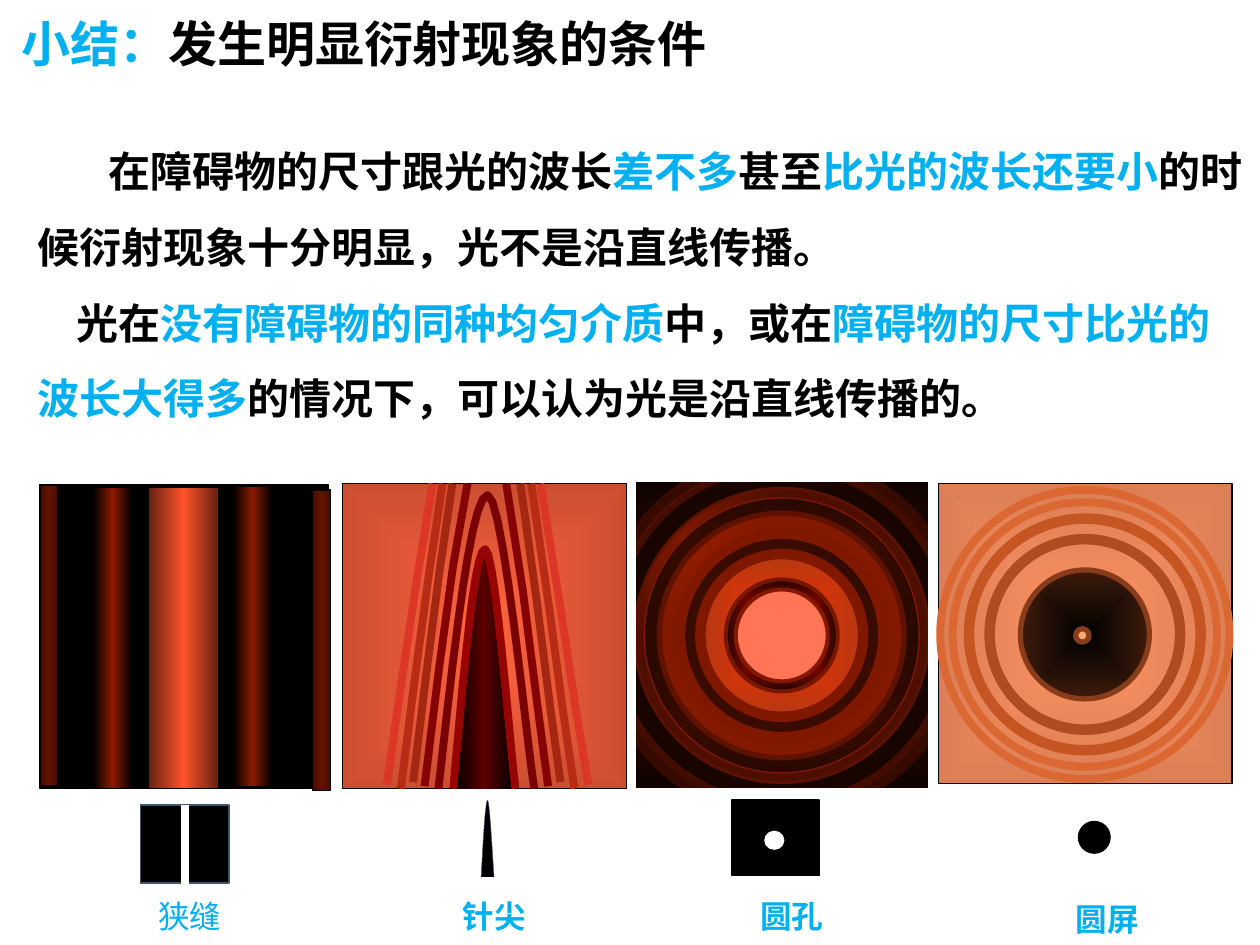
from lxml import etree
from pptx import Presentation
from pptx import util as u
from pptx.dml.color import RGBColor
from pptx.enum import shapes, text
from pptx.oxml import parse_xml
from pptx.oxml.ns import qn

Cm, Pt = u.Cm, u.Pt
A = "http://schemas.openxmlformats.org/drawingml/2006/main"
FONT = "Noto Sans CJK SC"
RECT, OVAL = shapes.MSO_SHAPE.RECTANGLE, shapes.MSO_SHAPE.OVAL
CENTRE = (50, 50, 50, 50)
TOP_LEFT, TOP_RIGHT = (0, 0, 100, 100), (100, 0, 0, 100)

# A value with several hex strings is a list of gradient stops
COLORS = {
    "black": "000000", "white": "FFFFFF", "accent": "00B0F0", "edge": "44546A",
    "slit centre": "662111 FF532B 662111",
    "slit side": "000000 8C1B00 000000",
    "slit outer": "460D00 641300 460D00",
    "needle frame": "FF623D CC4E31",
    "needle core": "000000 5C0000 000000",
    "needle 1": "960404", "needle 2": "790303", "needle 3": "850303",
    "needle 4": "A42712", "needle 5": "B82B14", "needle 6": "DC3726",
    "hole frame": "420D00 040100",
    "hole 1": "581100 430D00", "hole 1 line": "360A00",
    "hole 2": "180500", "hole 2 line": "420D00",
    "hole 3": "921C00 4E0F00", "hole 3 line": "5C1200",
    "hole 4": "581100 290800", "hole 4 line": "801800",
    "hole 5": "961D00 821900", "hole 5 line": "601200",
    "hole 6": "2E0900 3A0B00", "hole 6 line": "801800",
    "hole 7": "F02E00 B63912", "hole 7 line": "801800",
    "hole 8": "FF0000 260700", "hole 8 line": "781700",
    "hole 9": "FF7555", "hole 9 line": "841900",
    "disc frame": "FE9262 DC7F55", "disc shadow": "000000 3E1B0C",
    "disc rim": "893C19", "disc spot": "FFA873",
    "ring dark": "B04D20", "ring mid": "C55523", "ring light": "DB6733",
}


def rgb(name):
    return RGBColor.from_string(COLORS[name])


def set_all(target, values):
    for name, value in values.items():
        setattr(target, name, value)


def paint(shape, fill, line="black", width=0.75, focus=None):
    """Fill solid, or with a gradient: linear, or running to a focus rectangle."""
    shape.shadow.inherit = False
    shape.line.color.rgb = rgb(line)
    shape.line.width = Pt(width)
    if fill is None:
        shape.fill.background()
        return
    stops = COLORS[fill].split()
    shape.fill.solid()
    if len(stops) == 1:
        shape.fill.fore_color.rgb = rgb(fill)
        return
    marks = "".join(
        f'<a:gs pos="{100000 * i // (len(stops) - 1)}"><a:srgbClr val="{stop}"/></a:gs>'
        for i, stop in enumerate(stops))
    if focus:
        sides = " ".join(f'{side}="{value * 1000}"' for side, value in zip("ltrb", focus))
        kind = "shape" if focus == CENTRE else "rect"
        course = f'<a:path path="{kind}"><a:fillToRect {sides}/></a:path>'
    else:
        course = '<a:lin ang="0" scaled="0"/>'
    gradient = parse_xml(f'<a:gradFill xmlns:a="{A}" rotWithShape="1">'
                         f'<a:gsLst>{marks}</a:gsLst>{course}</a:gradFill>')
    properties = shape._element.spPr
    properties.replace(properties.find(qn("a:solidFill")), gradient)


def add_box(page, kind, place, fill, **style):
    shape = page.shapes.add_shape(kind, *map(Cm, place))
    paint(shape, fill, **style)


def add_circle(page, centre, size, fill, **style):
    x, y = centre
    add_box(page, OVAL, (x - size / 2, y - size / 2, size, size), fill, **style)


def bezier(points, t):
    weights = ((1 - t) ** 3, 3 * t * (1 - t) ** 2, 3 * t * t * (1 - t), t ** 3)
    return tuple(sum(w * p[axis] for w, p in zip(weights, points)) for axis in (0, 1))


def trace_leg(points, ceiling, steps):
    """Follow a leg from its foot up to its apex, or to the ceiling if that is lower."""
    low, high = 0, 1
    if points[-1][1] < ceiling:
        for _ in range(20):
            middle = (low + high) / 2
            if bezier(points, middle)[1] > ceiling:
                low = middle
            else:
                high = middle
    return [tuple(map(Cm, bezier(points, high * i / steps))) for i in range(steps + 1)]


def add_arch(page, left, right, apex, top, bottom, fill, ceiling=0, **style):
    """Draw a pointed arch, cut off above the ceiling."""
    rise, span, third = bottom - top, right - apex, (apex - left) / 3
    cut = top < ceiling
    legs = (
        [(left, bottom), (left + third, bottom - rise / 2), (apex - third, top), (apex, top)],
        [(right, bottom), (apex + 0.83 * span, top + 0.83 * rise), (apex + span / 3, top),
         (apex, top)],
    )
    first, second = (trace_leg(leg, ceiling, 3 if cut else 10) for leg in legs)
    second.reverse()
    builder = page.shapes.build_freeform(*first[0])
    builder.add_line_segments(first[1:], close=False)
    if cut:
        builder.move_to(*second[0])
    builder.add_line_segments(second[1:], close=False)
    paint(builder.convert_to_shape(), fill, **style)


def add_span(para, words, color, size, bold=True):
    span = para.add_run()
    span.text = words
    set_all(span.font, {"name": FONT, "size": Pt(size), "bold": bold})
    span.font.color.rgb = rgb(color)
    etree.SubElement(span._r.get_or_add_rPr(), qn("a:ea")).set("typeface", FONT)


def add_caption(page, place, words, bold=True):
    box = page.shapes.add_textbox(*map(Cm, place))
    set_all(box.text_frame, {"word_wrap": False, "vertical_anchor": text.MSO_ANCHOR.MIDDLE})
    para = box.text_frame.paragraphs[0]
    para.alignment = text.PP_ALIGN.CENTER
    add_span(para, words, "accent", 18, bold)


def fill_placeholder(box, place, frame_format, paragraphs, size, spacing):
    set_all(box, dict(zip(("left", "top", "width", "height"), map(Cm, place))))
    set_all(box.text_frame, {"word_wrap": True, "auto_size": text.MSO_AUTO_SIZE.NONE,
                             **frame_format})
    for i, (indent, spans) in enumerate(paragraphs):
        para = box.text_frame.add_paragraph() if i else box.text_frame.paragraphs[0]
        properties = para._p.get_or_add_pPr()
        properties.set("marL", "0")
        properties.set("indent", str(Cm(indent)))
        etree.SubElement(properties, qn("a:buNone"))
        set_all(para, {"alignment": text.PP_ALIGN.LEFT, "space_before": Pt(0),
                       "line_spacing": spacing})
        for words, color in spans:
            add_span(para, words, color, size)


def add_texts(page):
    title, body = page.placeholders
    fill_placeholder(title, (0.18, 0.13, 17.5, 1.45),
                     {"vertical_anchor": text.MSO_ANCHOR.MIDDLE},
                     [(0, [("小结：", "accent"), ("发生明显衍射现象的条件", "black")])], 28, 1.0)
    fill_placeholder(body, (0.51, 1.98, 24.89, 6.6),
                     {"vertical_anchor": text.MSO_ANCHOR.TOP, "margin_top": Cm(0.43)}, [
        (1.43, [("在障碍物的尺寸跟光的波长", "black"), ("差不多", "accent"), ("甚至", "black"),
                ("比光的波长还要小", "accent"),
                ("的时候衍射现象十分明显，光不是沿直线传播。", "black")]),
        (0.77, [("光在", "black"), ("没有障碍物的同种均匀介质", "accent"), ("中，或在", "black"),
                ("障碍物的尺寸比光的波长大得多", "accent"),
                ("的情况下，可以认为光是沿直线传播的。", "black")]),
    ], 24, Pt(43.4))


def add_hole(page):
    centre = (15.76, 12.81)
    add_box(page, RECT, (11.81, 9.09, 7.9, 7.42), "hole frame", focus=CENTRE)
    rings = [(7.18, 6, TOP_LEFT), (6.77, 3, None), (5.94, 1.5, TOP_LEFT),
             (5.54, 0.75, CENTRE), (4.93, 3, TOP_LEFT), (4.1, 6, TOP_RIGHT),
             (3.28, 6, CENTRE), (2.26, 2.25, CENTRE), (1.85, 2.25, None)]
    for i, (size, width, focus) in enumerate(rings, 1):
        add_circle(page, centre, size, f"hole {i}", line=f"hole {i} line",
                   width=width, focus=focus)
    # White margins trim the rings to the frame
    for place in [(11.66, 8.81, 1.14, 7.87), (18.72, 8.81, 1.14, 7.87),
                  (11.82, 8.57, 7.87, 1.14), (11.82, 15.89, 7.87, 1.14)]:
        add_box(page, RECT, place, "white", line="white")
    add_box(page, RECT, (14.76, 16.13, 1.75, 1.52), "black")
    add_box(page, OVAL, (15.42, 16.76, 0.38, 0.36), "white", line="white")
    add_caption(page, (14.3, 18.03, 3.33, 0.86), "圆孔")


def add_needle(page):
    top = 9.75
    add_box(page, RECT, (6.91, top, 5.72, 6.15), "needle frame", focus=CENTRE)
    arches = [(9.14, 10.39, 9.78, 11.07, 15.9), (8.84, 10.77, 9.83, 9.98, 15.9),
              (8.56, 11.05, 9.86, 8.69, 15.85), (8.33, 11.3, 9.86, 7.26, 15.77),
              (8.08, 11.58, 9.88, 6.45, 15.9), (7.8, 11.86, 9.88, 6.05, 15.82)]
    for i, arch in enumerate(arches, 1):
        add_arch(page, *arch, "needle core" if i == 1 else None, ceiling=top,
                 line=f"needle {i}", width=4.5)
    add_arch(page, 9.7, 9.96, 9.83, 16.13, 17.68, "black", line="edge", width=0.25)
    add_caption(page, (8.15, 18.06, 3.63, 0.81), "针尖")


def add_slit(page):
    add_box(page, RECT, (0.81, 9.78, 5.82, 6.11), "black")
    for x, y, width, fill in [(3.0, 9.83, 1.4, "slit centre"), (1.88, 9.83, 0.79, "slit side"),
                              (4.7, 9.8, 0.79, "slit side"), (0.81, 9.78, 0.36, "slit outer"),
                              (6.3, 9.88, 0.36, "slit outer")]:
        add_box(page, RECT, (x, y, width, 6.06), fill)
    add_box(page, RECT, (2.84, 16.23, 1.78, 1.57), "black", line="edge")
    gap = page.shapes.add_connector(shapes.MSO_CONNECTOR.STRAIGHT,
                                    *map(Cm, (3.73, 16.23, 3.73, 17.83)))
    gap.line.color.rgb = rgb("white")
    gap.line.width = Pt(4.5)
    etree.SubElement(gap._element.spPr, qn("a:effectLst"))
    add_caption(page, (2.18, 18.01, 3.3, 0.91), "狭缝", bold=False)


def add_disc(page):
    centre = (21.87, 12.79)
    add_box(page, RECT, (18.92, 9.75, 5.92, 6.05), "disc frame", focus=CENTRE)
    add_circle(page, centre, 2.6, "disc shadow", line="disc rim", width=3, focus=CENTRE)
    add_circle(page, (21.82, 12.81), 0.27, "disc spot", line="disc rim", width=3)
    for size, line, width in [(3.84, "ring dark", 6), (4.67, "ring mid", 6),
                              (5.33, "ring light", 4.5), (5.83, "ring light", 4.5)]:
        add_circle(page, centre, size, None, line=line, width=width)
    add_circle(page, (22.06, 16.88), 0.64, "black")
    add_caption(page, (20.52, 18.01, 3.61, 1.04), "圆屏")


def main():
    deck = Presentation()
    deck.slide_width, deck.slide_height = Cm(25.4), Cm(19.05)
    page = deck.slides.add_slide(deck.slide_layouts[1])
    add_texts(page)
    # The hole comes first, so that its neighbours cover its white margins
    for add_pattern in (add_hole, add_needle, add_slit, add_disc):
        add_pattern(page)
    deck.save("out.pptx")


if __name__ == "__main__":
    main()
